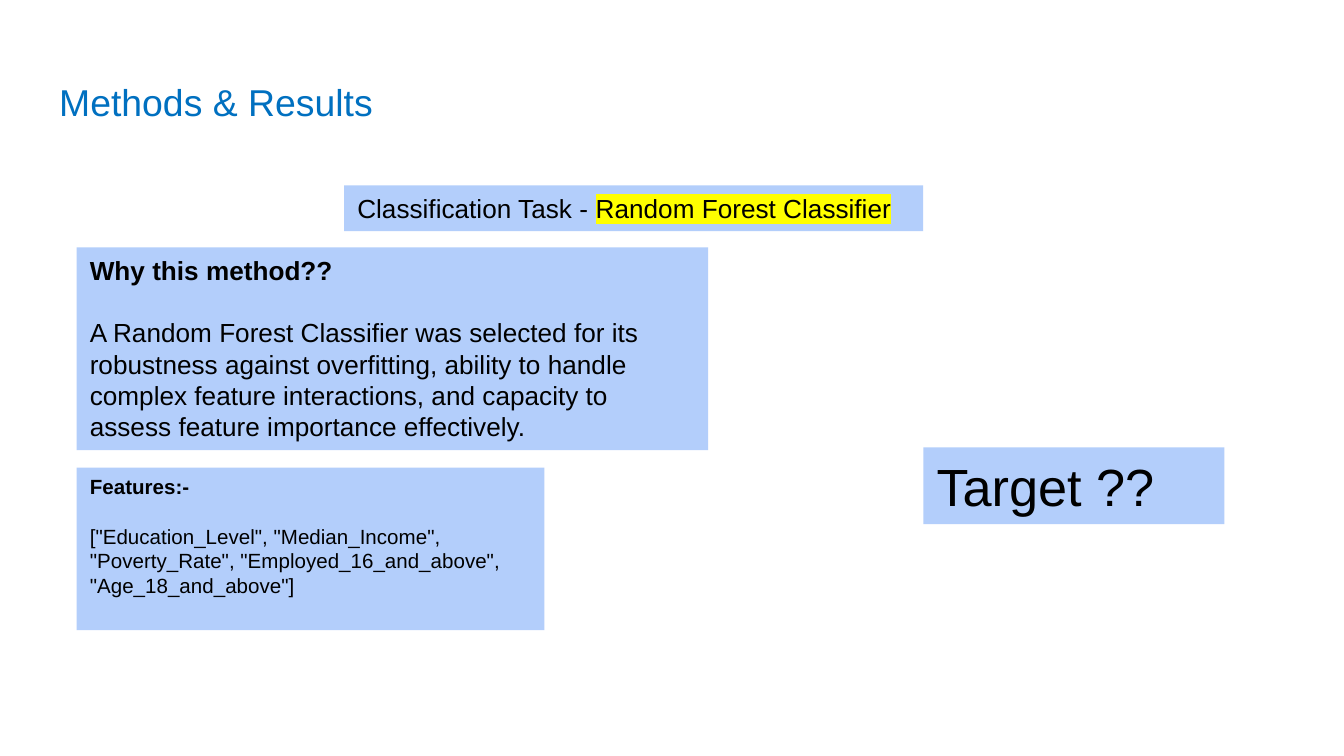
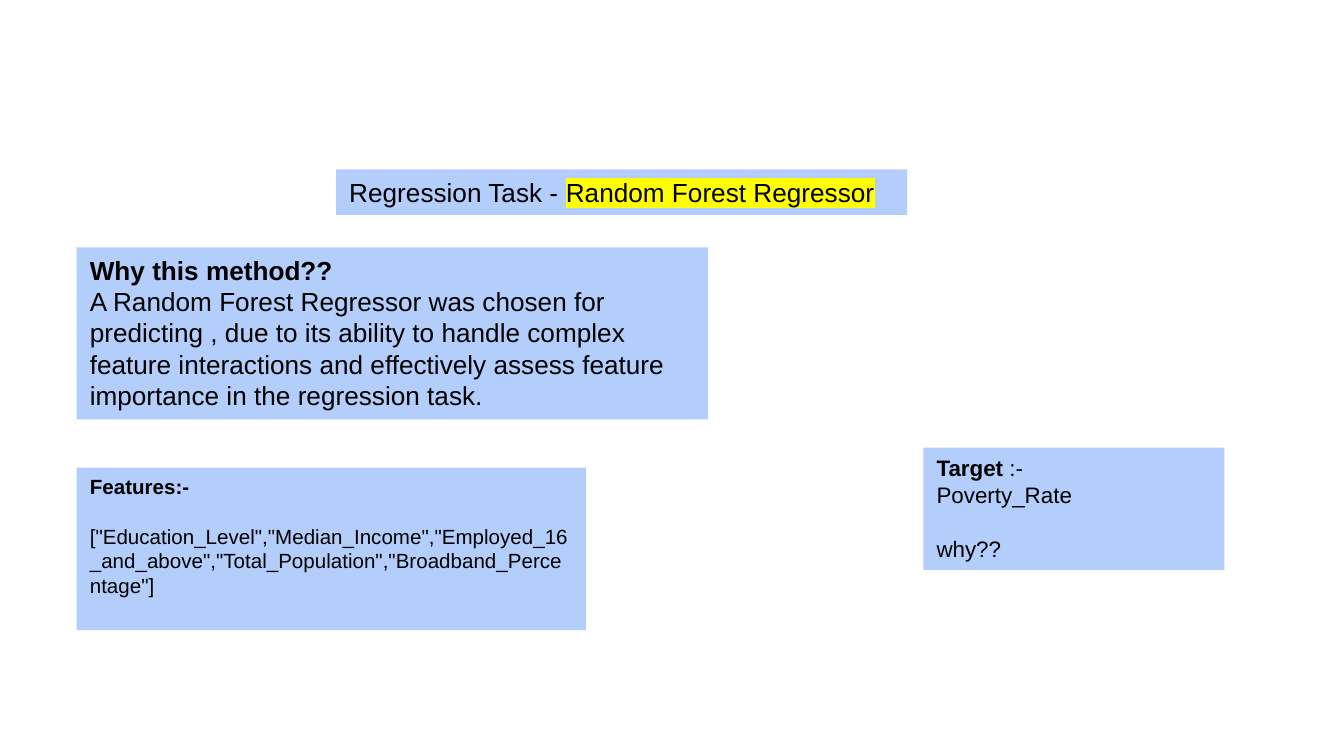
from lxml.etree import SubElement
from pptx import Presentation
from pptx.dml.color import RGBColor
from pptx.enum.shapes import MSO_SHAPE
from pptx.enum.text import MSO_ANCHOR, MSO_AUTO_SIZE, PP_ALIGN
from pptx.oxml.ns import qn
from pptx.util import Inches, Pt

SLIDE_WIDTH = 10
SLIDE_HEIGHT = SLIDE_WIDTH * 9 / 16
UNIT = 0.1
FONT = "Arial"
BLANK_LINE = 1.2
TITLE_BLUE = "0070C0"
PANEL_BLUE = "B3CEFB"
INK = "000000"
MARKER = "FFFF00"

LEFT_COLUMN = 5.7
RIGHT_COLUMN = 68.7
METHOD_ROW = 18.4
TARGET_ROW = 33.3
FEATURES_ROW = 34.8
METHOD_WIDTH = 47
TARGET_WIDTH = 22.4
TASK_HEIGHT = 3.4
FEATURES_HEIGHT = 12.1


def color(value):
    return RGBColor.from_string(value)


def apply(target, values):
    for name, value in values.items():
        setattr(target, name, value)


def grid(column, row, columns, rows):
    names = ("left", "top", "width", "height")
    return {name: Inches(count * UNIT)
            for name, count in zip(names, (column, row, columns, rows))}


def highlight(span):
    properties = span._r.get_or_add_rPr()
    marker = properties.makeelement(qn("a:highlight"), {})
    SubElement(marker, qn("a:srgbClr"), val=MARKER)
    properties.find(qn("a:solidFill")).addnext(marker)


def add_span(para, text, size, ink=INK, bold=False, marked=False):
    span = para.add_run()
    span.text = text
    apply(span.font, {"name": FONT, "size": Pt(size), "bold": bold})
    span.font.color.rgb = color(ink)
    if marked:
        highlight(span)


def format_frame(frame):
    apply(frame, {"word_wrap": True, "auto_size": MSO_AUTO_SIZE.NONE,
                  "vertical_anchor": MSO_ANCHOR.TOP})


def format_paragraph(para, before=0):
    apply(para, {"alignment": PP_ALIGN.LEFT, "line_spacing": 1.0,
                 "space_before": Pt(before), "space_after": Pt(0)})


def add_panel(page, place, size, paragraphs, gap_at=None):
    box = page.shapes.add_shape(MSO_SHAPE.RECTANGLE, **place)
    box.shadow.inherit = False
    box.fill.solid()
    box.fill.fore_color.rgb = color(PANEL_BLUE)
    box.line.fill.background()
    frame = box.text_frame
    format_frame(frame)
    for index, spans in enumerate(paragraphs):
        para = frame.add_paragraph() if index else frame.paragraphs[0]
        format_paragraph(para, size * BLANK_LINE if index == gap_at else 0)
        for text, style in spans:
            add_span(para, text, size, **style)


def add_title(page, text):
    title = page.shapes.title
    apply(title, grid(3.4, 4.9, 93.2, 6.3))
    frame = title.text_frame
    format_frame(frame)
    sides = ("left", "top", "right", "bottom")
    apply(frame, {f"margin_{side}": Inches(0.1) for side in sides})
    format_paragraph(frame.paragraphs[0])
    add_span(frame.paragraphs[0], text, 20, TITLE_BLUE)


def add_task(page, column, row, columns, task, model):
    add_panel(page, grid(column, row, columns, TASK_HEIGHT), 14,
              [[(f"{task} Task - ", {}), (model, {"marked": True})]])


def add_method(page, rows, reason, gap_at=None):
    add_panel(page, grid(LEFT_COLUMN, METHOD_ROW, METHOD_WIDTH, rows), 14,
              [[("Why this method??", {"bold": True})], [(reason, {})]], gap_at)


def add_features(page, columns, names, separator):
    listing = separator.join(f'"{name}"' for name in names)
    add_panel(page, grid(LEFT_COLUMN, FEATURES_ROW, columns, FEATURES_HEIGHT), 11,
              [[("Features:-", {"bold": True})], [(f"[{listing}]", {})]], 1)


def add_target(page, rows, size, paragraphs, gap_at=None):
    add_panel(page, grid(RIGHT_COLUMN, TARGET_ROW, TARGET_WIDTH, rows),
              size, paragraphs, gap_at)


def build_classification(deck):
    page = deck.slides.add_slide(deck.slide_layouts.get_by_name("Title Only"))
    add_title(page, "Methods & Results")
    add_task(page, 25.6, 13.8, 43.1, "Classification", "Random Forest Classifier")
    add_method(page, 15.1,
               "A Random Forest Classifier was selected for its robustness against "
               "overfitting, ability to handle complex feature interactions, and "
               "capacity to assess feature importance effectively.", 1)
    add_features(page, 34.8,
                 ["Education_Level", "Median_Income", "Poverty_Rate",
                  "Employed_16_and_above", "Age_18_and_above"], ", ")
    add_target(page, 5.7, 28, [[("Target ??", {})]])


def build_regression(deck):
    page = deck.slides.add_slide(deck.slide_layouts.get_by_name("Blank"))
    add_task(page, 25, 12.6, 42.5, "Regression", "Random Forest Regressor")
    add_method(page, 12.8,
               "A Random Forest Regressor was chosen for predicting , due to its "
               "ability to handle complex feature interactions and effectively "
               "assess feature importance in the regression task.")
    add_features(page, 37.9,
                 ["Education_Level", "Median_Income", "Employed_16_and_above",
                  "Total_Population", "Broadband_Percentage"], ",")
    add_target(page, 9.1, 12,
               [[("Target", {"bold": True}), (" :-", {})],
                [("Poverty_Rate", {})], [("why??", {})]], 2)


def main():
    deck = Presentation()
    apply(deck, {"slide_width": Inches(SLIDE_WIDTH),
                 "slide_height": Inches(SLIDE_HEIGHT)})
    build_classification(deck)
    build_regression(deck)
    deck.save("out.pptx")


if __name__ == "__main__":
    main()
